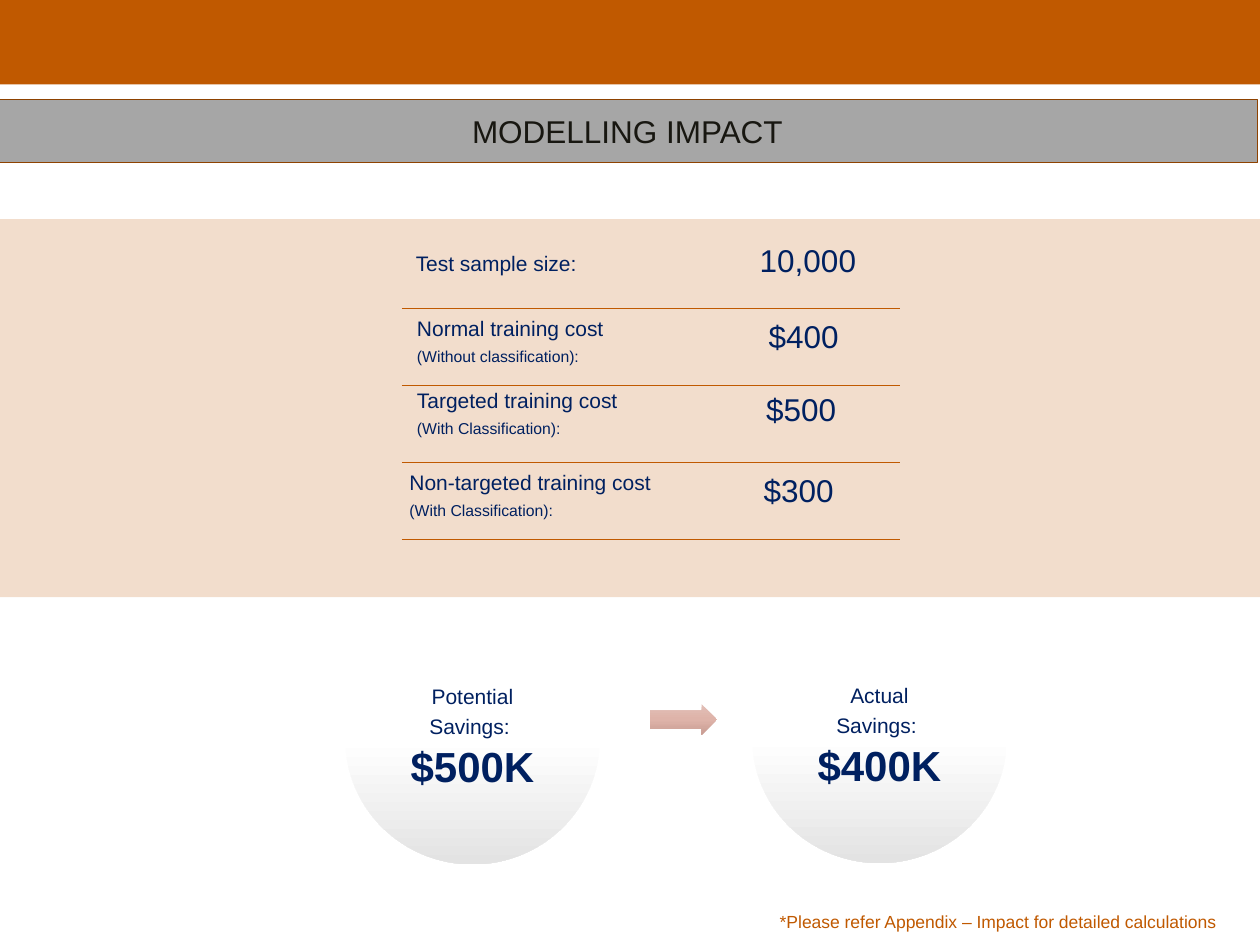
"""Build the Modelling Impact slide: training costs and the savings they lead to."""
import copy

import pptx
import pptx.dml.color
import pptx.enum.shapes
import pptx.enum.text
import pptx.oxml
import pptx.oxml.ns
import pptx.util

Inches, Pt = pptx.util.Inches, pptx.util.Pt
RGBColor = pptx.dml.color.RGBColor
SHAPE = pptx.enum.shapes.MSO_SHAPE
ALIGN = pptx.enum.text.PP_ALIGN
ANCHOR = pptx.enum.text.MSO_ANCHOR
qn = pptx.oxml.ns.qn

ORANGE = RGBColor(0xC0, 0x59, 0x00)
BROWN = RGBColor(0x8E, 0x42, 0x00)
GRAY = RGBColor(0xA6, 0xA6, 0xA6)
INK = RGBColor(0x18, 0x17, 0x11)
NAVY = RGBColor(0x00, 0x20, 0x60)
WHITE = RGBColor(0xFF, 0xFF, 0xFF)
SILVER = RGBColor(0xE3, 0xE3, 0xE3)
ROSE = [RGBColor(0xE1, 0xBE, 0xB6), RGBColor(0xDE, 0xB3, 0xA9), RGBColor(0xC9, 0x9D, 0x93)]

TITLE = "MODELLING IMPACT"
FOOTNOTE = "*Please refer Appendix – Impact for detailed calculations"
COSTS = [
    (["Test sample size:"], (3.25, 1.96), "10,000", (5.96, 1.88)),
    (["Normal training cost", "(Without classification):"], (3.26, 2.48), "$400", (6.03, 2.48)),
    (["Targeted training cost", "(With Classification):"], (3.26, 3.05), "$500", (6.01, 3.06)),
    (["Non-targeted training cost", "(With Classification):"], (3.2, 3.7), "$300", (5.99, 3.7)),
]
SAVINGS = [
    (["Potential", "Savings: ", "$500K"], 2.74, 1.99),
    (["Actual", "Savings: ", "$400K"], 5.97, 1.98),
]
RULE_LEFT, RULE_RIGHT, RULE_TOP, RULE_STEP = 3.19, 7.14, 2.45, 0.61
CIRCLE_TOP, CIRCLE_WIDTH, CIRCLE_INSET = 4.87, 2.02, 0.29


def style_run(run, size, color, bold=False):
    run.font.name = "Arial"
    run.font.size = Pt(size)
    run.font.bold = bold
    run.font.color.rgb = color


def add_block(slide, kind, left, top, width, height):
    block = slide.shapes.add_shape(kind, Inches(left), Inches(top), Inches(width), Inches(height))
    block.shadow.inherit = False
    block.line.fill.background()
    return block


def fill_solid(block, color, alpha=None):
    block.fill.solid()
    block.fill.fore_color.rgb = color
    if alpha is not None:
        rgb = block.element.spPr.find(".//" + qn("a:srgbClr"))
        rgb.append(pptx.oxml.parse_xml(
            f'<a:alpha {pptx.oxml.ns.nsdecls("a")} val="{alpha * 1000}"/>'))


def fill_downward(block, colors):
    block.fill.gradient()
    stops = block.element.spPr.find(".//" + qn("a:gsLst"))
    stops.append(copy.deepcopy(stops[0]))
    for index, (stop, color) in enumerate(zip(block.fill.gradient_stops, colors)):
        stop.position = index / 2
        stop.color.rgb = color
    block.fill.gradient_angle = 270


def add_text(slide, lines, sizes, box, inset, align=ALIGN.LEFT, anchor=ANCHOR.TOP, bold_last=False):
    frame = slide.shapes.add_textbox(*map(Inches, box)).text_frame
    frame.word_wrap = True
    frame.vertical_anchor = anchor
    frame.margin_left = frame.margin_right = Inches(inset)
    frame.margin_top = frame.margin_bottom = Inches(inset)
    frame.text = "\n".join(lines)
    for paragraph, size in zip(frame.paragraphs, sizes):
        paragraph.alignment = align
        paragraph.line_spacing = 0.9
        paragraph.space_after = Pt(round(size * 0.35, 1))
        style_run(paragraph.runs[0], size, NAVY)
    frame.paragraphs[-1].runs[0].font.bold = bold_last


def add_title(slide):
    title = slide.shapes.title
    title.left, title.top, title.width, title.height = map(Inches, (-0.02, 0.79, 10, 0.5))
    fill_solid(title, GRAY)
    title.line.color.rgb = BROWN
    title.line.width = Pt(1)
    title.text_frame.text = TITLE
    title.text_frame.vertical_anchor = ANCHOR.MIDDLE
    title.text_frame.paragraphs[0].alignment = ALIGN.CENTER
    style_run(title.text_frame.paragraphs[0].runs[0], 18, INK)


def add_costs(slide):
    for row, (labels, label_at, amount, amount_at) in enumerate(COSTS):
        add_text(slide, labels, (12, 9), (*label_at, 2.7, 0.58), 0.05)
        add_text(slide, [amount], (18,), (*amount_at, 1.57, 0.58), 0.07)
        y = Inches(RULE_TOP + row * RULE_STEP)
        rule = slide.shapes.add_connector(
            pptx.enum.shapes.MSO_CONNECTOR.STRAIGHT, Inches(RULE_LEFT), y, Inches(RULE_RIGHT), y)
        rule.line.color.rgb = ORANGE
        rule.line.width = Pt(0.5)
        rule.element.spPr.append(
            pptx.oxml.parse_xml(f'<a:effectLst {pptx.oxml.ns.nsdecls("a")}/>'))


def add_savings(slide):
    for lines, left, height in SAVINGS:
        circle = add_block(slide, SHAPE.OVAL, left, CIRCLE_TOP, CIRCLE_WIDTH, height)
        fill_downward(circle, [WHITE, WHITE, SILVER])
        box = (left + CIRCLE_INSET, CIRCLE_TOP + CIRCLE_INSET,
               CIRCLE_WIDTH - 2 * CIRCLE_INSET, height - 2 * CIRCLE_INSET)
        add_text(slide, lines, (12, 12, 24), box, 0.02, ALIGN.CENTER, ANCHOR.MIDDLE, True)
    arrow = add_block(slide, SHAPE.RIGHT_ARROW, 5.16, 5.59, 0.53, 0.24)
    arrow.adjustments[0] = 0.6
    fill_downward(arrow, ROSE)


def add_footnote(slide):
    footnote = slide.shapes.add_textbox(*map(Inches, (6.09, 7.18, 3.8, 0.27))).text_frame
    footnote.word_wrap = True
    footnote.text = FOOTNOTE
    style_run(footnote.paragraphs[0].runs[0], 10, ORANGE)


def main():
    deck = pptx.Presentation()
    deck.slide_width, deck.slide_height = Inches(10), Inches(7.5)
    slide = deck.slides.add_slide(deck.slide_layouts[5])
    fill_solid(add_block(slide, SHAPE.RECTANGLE, 0, 0, 10, 0.67), ORANGE)
    fill_solid(add_block(slide, SHAPE.RECTANGLE, 0, 1.74, 10, 3), ORANGE, 20)
    add_title(slide)
    add_costs(slide)
    add_savings(slide)
    add_footnote(slide)
    deck.save("out.pptx")


if __name__ == "__main__":
    main()
